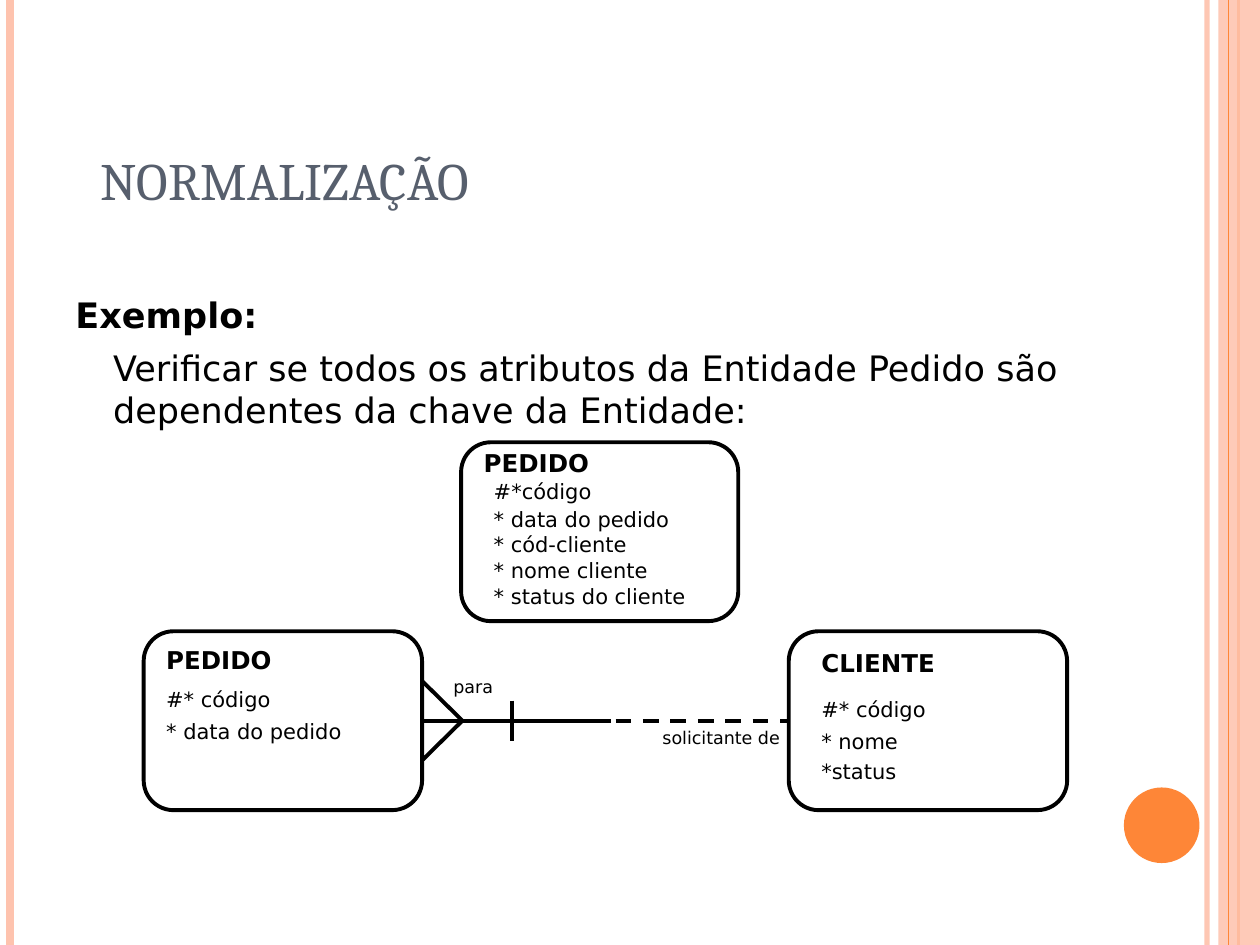
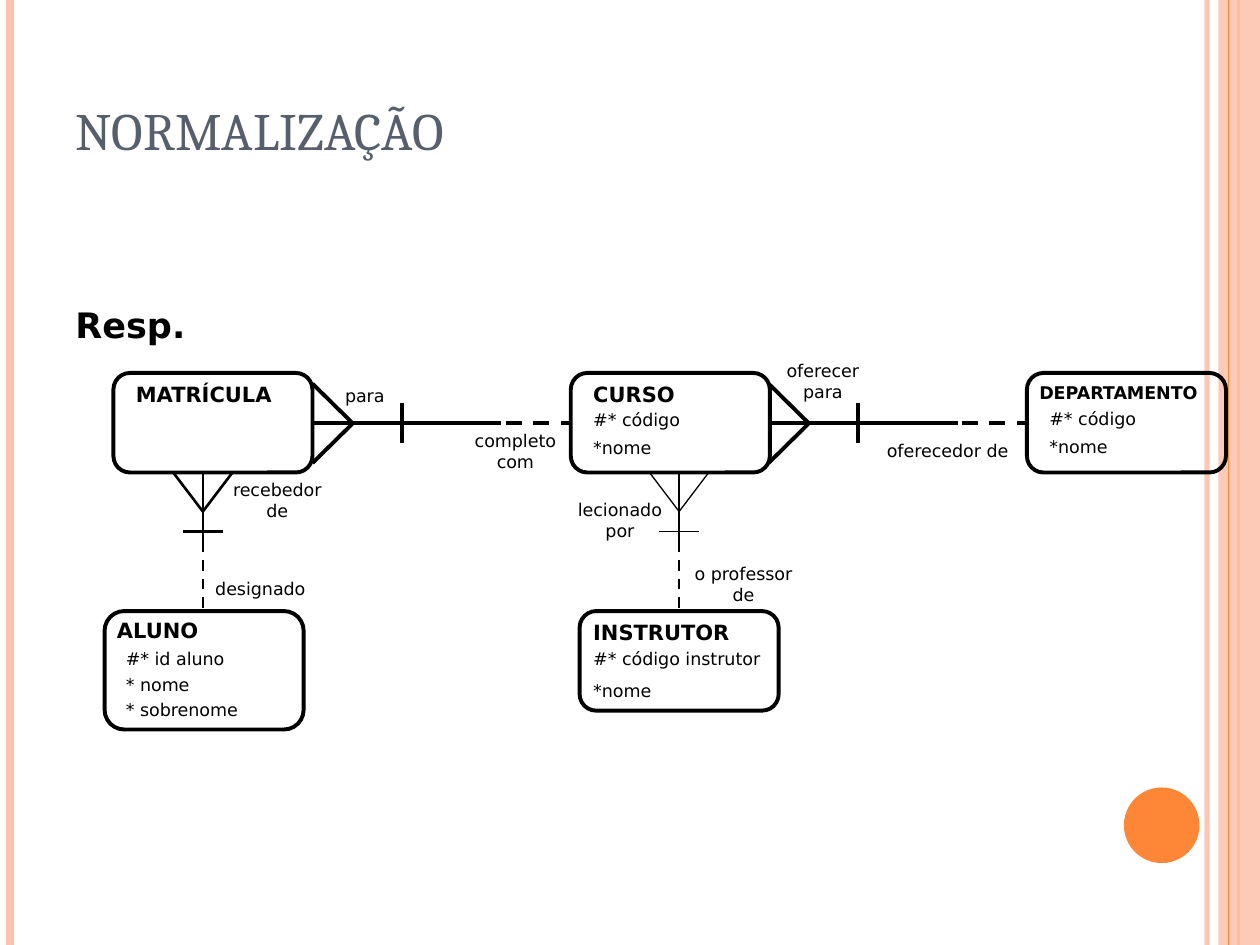
"""Build two slides on normalisation with entity-relationship diagrams."""
from dataclasses import dataclass

from lxml.etree import SubElement
from pptx import Presentation
from pptx.dml.color import RGBColor
from pptx.enum.dml import MSO_LINE
from pptx.enum.shapes import MSO_CONNECTOR, MSO_SHAPE
from pptx.enum.text import MSO_ANCHOR, PP_ALIGN
from pptx.oxml.ns import qn
from pptx.util import Inches, Pt


@dataclass(frozen=True)
class Theme:
    ink: str = "000000"
    title: str = "575F6D"
    accent: str = "FE8637"
    pale: str = "FEC3AE"
    title_font: str = "Cambria"
    body_font: str = "DejaVu Sans"
    title_size: float = 30
    body_size: float = 20
    heading_size: float = 14
    detail_size: float = 12
    small_size: float = 10
    thick: float = 2.25
    medium: float = 1.5
    thin: float = 0.75
    gap_ratio: float = 0.625


THEME = Theme()


@dataclass(frozen=True)
class Box:
    left: float
    top: float
    width: float
    height: float


@dataclass(frozen=True)
class Label:
    box: Box
    lines: tuple[str, ...]
    size: float = THEME.small_size
    bold: bool = False
    spacing: float = 1.0
    centered: bool = False


@dataclass(frozen=True)
class Entity:
    box: Box
    labels: tuple[Label, ...]


@dataclass(frozen=True)
class LinkStyle:
    vertical: bool
    foot_depth: float
    foot_half: float
    bar_at: float
    bar_half: float
    dash_from: float
    solid_to: float
    width: float


@dataclass(frozen=True)
class Link:
    x: float
    y: float
    end: float
    style: LinkStyle
    mark_width: float


ACROSS = LinkStyle(False, 0.32, 0.315, 0.71, 0.16, 1.1, 1.5, THEME.thick)
DOWN = LinkStyle(True, 0.31, 0.235, 0.47, 0.16, 0.55, 0.63, THEME.medium)


def set_alpha(properties, percent: int) -> None:
    """Make the first solid colour below an element partly transparent."""
    color = next(properties.iter(qn("a:srgbClr")))
    SubElement(color, qn("a:alpha")).set("val", str(percent * 1000))


def add_line(slide, start: tuple[float, float], end: tuple[float, float], width: float,
             color: str = THEME.ink, dashed: bool = False):
    """Draw a straight connector without a shadow."""
    connector = slide.shapes.add_connector(
        MSO_CONNECTOR.STRAIGHT, *(Inches(value) for value in (*start, *end)))
    connector.line.color.rgb = RGBColor.from_string(color)
    connector.line.width = Pt(width)
    if dashed:
        connector.line.dash_style = MSO_LINE.DASH
    SubElement(connector._element.spPr, qn("a:effectLst"))
    return connector


def add_shape(slide, kind: MSO_SHAPE, box: Box, fill: str | None = None,
              outline: float | None = None):
    """Draw a preset shape with an optional fill and outline."""
    shape = slide.shapes.add_shape(kind, Inches(box.left), Inches(box.top),
                                   Inches(box.width), Inches(box.height))
    shape.shadow.inherit = False
    if fill:
        shape.fill.solid()
        shape.fill.fore_color.rgb = RGBColor.from_string(fill)
    else:
        shape.fill.background()
    if outline:
        shape.line.color.rgb = RGBColor.from_string(THEME.ink)
        shape.line.width = Pt(outline)
    else:
        shape.line.fill.background()
    return shape


def add_text(slide, box: Box, lines: tuple[str, ...], *, size: float,
             font: str = THEME.body_font, color: str = THEME.ink, bold: bool = False,
             gap: float = 0, first_spacing: float = 1.0, spacing: float = 1.0,
             centered: bool = False, anchor: MSO_ANCHOR = MSO_ANCHOR.TOP):
    """Write paragraphs in a wrapping text box and return its frame."""
    frame = slide.shapes.add_textbox(Inches(box.left), Inches(box.top),
                                     Inches(box.width), Inches(box.height)).text_frame
    frame.word_wrap = True
    frame.vertical_anchor = anchor
    for index, line in enumerate(lines):
        paragraph = frame.add_paragraph() if index else frame.paragraphs[0]
        paragraph.text = line
        paragraph.alignment = PP_ALIGN.CENTER if centered else PP_ALIGN.LEFT
        paragraph.line_spacing = spacing if index else first_spacing
        paragraph.space_before = Pt(gap if index else 0)
        paragraph.font.name = font
        paragraph.font.size = Pt(size)
        paragraph.font.bold = bold
        paragraph.font.color.rgb = RGBColor.from_string(color)
    return frame


def add_label(slide, label: Label) -> None:
    """Write a diagram label."""
    add_text(slide, label.box, label.lines, size=label.size, bold=label.bold,
             gap=label.size * THEME.gap_ratio, spacing=label.spacing,
             centered=label.centered)


def add_entity(slide, entity: Entity) -> None:
    """Draw an entity box with its heading and attributes."""
    add_shape(slide, MSO_SHAPE.FLOWCHART_ALTERNATE_PROCESS, entity.box, outline=THEME.thick)
    for label in entity.labels:
        add_label(slide, label)


def add_link(slide, link: Link) -> None:
    """Draw a crow's foot, a bar and a line that turns dashed."""
    style = link.style

    def point(along: float, across: float = 0) -> tuple[float, float]:
        """Turn an offset along and across the link into a slide position."""
        if style.vertical:
            return link.x + across, link.y + along
        return link.x + along, link.y + across

    length = link.end - (link.y if style.vertical else link.x)
    add_line(slide, point(0), point(style.solid_to), style.width)
    add_line(slide, point(style.dash_from), point(length), style.width, dashed=True)
    for side in (-1, 1):
        add_line(slide, point(0, side * style.foot_half), point(style.foot_depth),
                 link.mark_width)
    add_line(slide, point(style.bar_at, -style.bar_half),
             point(style.bar_at, style.bar_half), link.mark_width)


def add_rule(slide, x: float, width: float, color: str):
    """Draw a full-height vertical rule."""
    return add_line(slide, (x, 0), (x, 7.5), width, color)


def add_base(presentation, title_box: Box):
    """Add a slide with the shared side bands, disc and title."""
    slide = presentation.slides.add_slide(presentation.slide_layouts[6])
    set_alpha(add_rule(slide, 9.58, 3, THEME.pale)._element.spPr, 93)
    add_rule(slide, 0.08, 4.5, THEME.pale)
    add_rule(slide, 9.83, THEME.medium, THEME.accent)
    band = add_shape(slide, MSO_SHAPE.RECTANGLE, Box(9.67, 0, 0.33, 7.5), THEME.pale)
    set_alpha(band._element.spPr, 87)
    add_rule(slide, 9.75, THEME.thin, THEME.accent)
    add_shape(slide, MSO_SHAPE.OVAL, Box(8.92, 6.25, 0.6, 0.6), THEME.accent)
    add_text(slide, title_box, ("NORMALIZAÇÃO",), size=THEME.title_size,
             font=THEME.title_font, color=THEME.title, first_spacing=1.4,
             anchor=MSO_ANCHOR.MIDDLE)
    return slide


def add_statement(slide, box: Box, lines: tuple[str, ...]) -> None:
    """Write a bold lead followed by indented plain text."""
    frame = add_text(slide, box, lines, size=THEME.body_size, gap=6)
    frame.margin_top = Inches(0.08)
    frame.paragraphs[0].font.bold = True
    for paragraph in frame.paragraphs[1:]:
        paragraph._p.get_or_add_pPr().set("marL", str(Inches(0.3)))


def add_diagram(slide, entities: tuple[Entity, ...], links: tuple[Link, ...],
                roles: tuple[Label, ...]) -> None:
    """Draw entities, the links between them and their role names."""
    for entity in entities:
        add_entity(slide, entity)
    for link in links:
        add_link(slide, link)
    for role in roles:
        add_label(slide, role)


def heading(left: float, top: float, width: float, text: str,
            size: float = THEME.detail_size) -> Label:
    """Describe a bold entity heading."""
    return Label(Box(left, top, width, 0.3), (text,), size, bold=True)


def role(left: float, top: float, width: float, text: str, centered: bool = True) -> Label:
    """Describe the name of one end of a link."""
    return Label(Box(left, top, width, 0.44 if centered else 0.27), (text,),
                 centered=centered)


def build_example(presentation) -> None:
    """Build the slide that splits an order into two entities."""
    slide = add_base(presentation, Box(0.7, 0.7, 8.5, 1.25))
    add_statement(slide, Box(0.5, 2.25, 9, 1.34), (
        "Exemplo:",
        "Verificar se todos os atributos da Entidade Pedido são "
        "dependentes da chave da Entidade:"))
    big, detail = THEME.heading_size, THEME.detail_size
    entities = (
        Entity(Box(3.66, 3.51, 2.2, 1.42), (
            heading(3.74, 3.51, 2.36, "PEDIDO", big),
            Label(Box(3.82, 3.75, 4.02, 1.12),
                  ("#*código", "* data do pedido", "* cód-cliente", "* nome cliente",
                   "* status do cliente"), detail, spacing=0.5))),
        Entity(Box(1.14, 5.01, 2.21, 1.42), (
            heading(1.22, 5.07, 2.36, "PEDIDO", big),
            Label(Box(1.22, 5.4, 2.99, 0.55), ("#* código", "* data do pedido"),
                  detail, spacing=0.7))),
        Entity(Box(6.26, 5.01, 2.21, 1.42), (
            heading(6.42, 5.09, 1.26, "CLIENTE", big),
            Label(Box(6.42, 5.48, 1.81, 0.79), ("#* código", "* nome", "*status"),
                  detail, spacing=0.7))),
    )
    links = (Link(3.35, 5.72, 6.26, ACROSS, THEME.thick),)
    roles = (role(3.5, 5.32, 2.05, "para", False),
             role(5.16, 5.72, 2.76, "solicitante de", False))
    add_diagram(slide, entities, links, roles)


def build_answer(presentation) -> None:
    """Build the slide with the five-entity answer."""
    slide = add_base(presentation, Box(0.5, 0.3, 8.17, 1.25))
    add_statement(slide, Box(0.5, 2.33, 9, 0.47), ("Resp.",))
    course_lines = ("#* código", "*nome")
    entities = (
        Entity(Box(0.9, 2.96, 1.58, 0.79), (heading(0.98, 2.98, 1.34, "MATRÍCULA"),)),
        Entity(Box(4.53, 2.96, 1.58, 0.79), (
            heading(4.61, 2.98, 1.02, "CURSO"),
            Label(Box(4.61, 3.2, 1.18, 0.49), course_lines, spacing=0.8))),
        Entity(Box(8.15, 2.96, 1.58, 0.79), (
            heading(8.15, 2.98, 2.13, "DEPARTAMENTO", THEME.small_size),
            Label(Box(8.23, 3.19, 1.18, 0.49), course_lines, spacing=0.8))),
        Entity(Box(0.83, 4.85, 1.58, 0.94), (
            heading(0.83, 4.85, 1.1, "ALUNO"),
            Label(Box(0.9, 5.09, 2.29, 0.68), ("#* id aluno", "* nome", "* sobrenome"),
                  spacing=0.7))),
        Entity(Box(4.6, 4.85, 1.58, 0.79), (
            heading(4.61, 4.87, 2.6, "INSTRUTOR"),
            Label(Box(4.61, 5.09, 1.97, 0.52), ("#* código instrutor", "*nome")))),
    )
    links = (Link(2.48, 3.36, 4.53, ACROSS, THEME.thick),
             Link(6.1, 3.36, 8.15, ACROSS, THEME.thick),
             Link(1.61, 3.75, 4.85, DOWN, THEME.medium),
             Link(5.39, 3.75, 4.85, DOWN, THEME.thin))
    roles = (role(1.69, 3.75, 1.02, "recebedor de"),
             role(1.61, 4.54, 1.73, "designado", False),
             role(2.64, 3.01, 1.34, "para", False),
             role(3.58, 3.36, 1.02, "completo com"),
             role(4.45, 3.91, 0.94, "lecionado por"),
             role(5.39, 4.42, 1.02, "o professor de"),
             role(6.02, 2.81, 1.02, "oferecer para"),
             role(6.81, 3.44, 1.42, "oferecedor de"))
    add_diagram(slide, entities, links, roles)


def main() -> None:
    """Build and save the presentation."""
    presentation = Presentation()
    presentation.slide_width, presentation.slide_height = Inches(10), Inches(7.5)
    build_example(presentation)
    build_answer(presentation)
    presentation.save("out.pptx")


if __name__ == "__main__":
    main()
